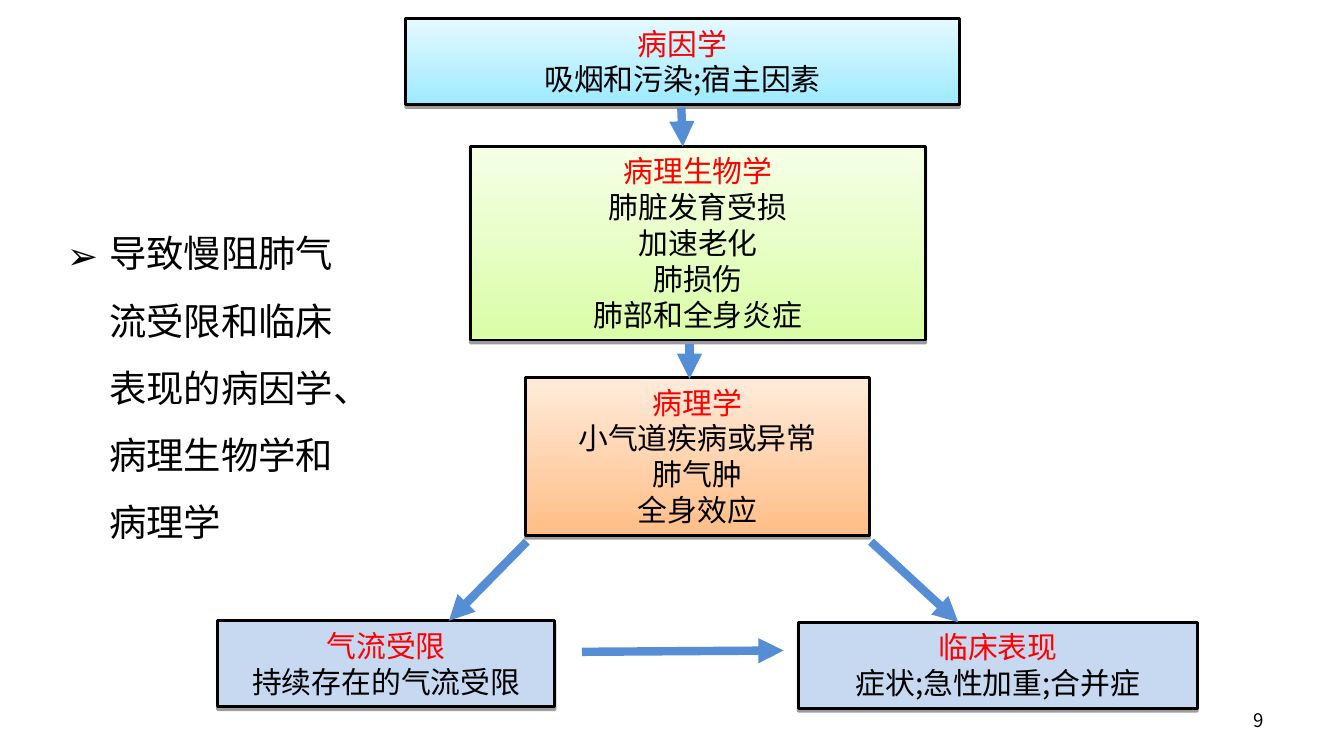
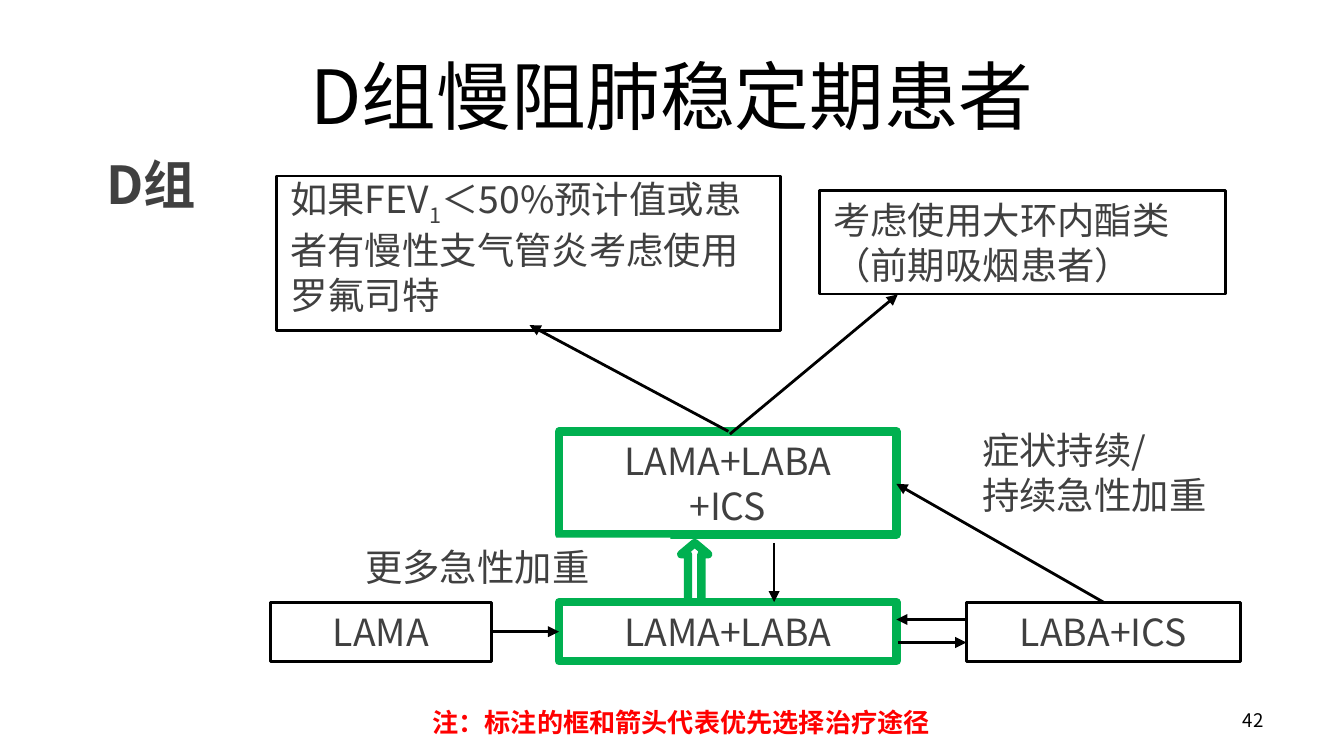
import pptx
import pptx.util
import pptx.dml.color
import pptx.enum.shapes
import pptx.enum.text
import pptx.oxml
import pptx.oxml.ns

Pt = pptx.util.Pt
SHAPE = pptx.enum.shapes.MSO_SHAPE
ALIGN = pptx.enum.text.PP_ALIGN
ANCHOR = pptx.enum.text.MSO_ANCHOR
NS = pptx.oxml.ns.nsdecls("a")

FONT = "Noto Sans CJK SC"
BLACK, WHITE, RED = "000000", "FFFFFF", "FF0000"
GRAY, GREEN, BLUE, PALE = "404040", "00B050", "558ED5", "C6D9F1"
LEAD = 1.2


def color(code):
    """Turn a hex string into a colour."""
    return pptx.dml.color.RGBColor.from_string(code)


def add_xml(node, body):
    """Append one drawing element to a node."""
    tag, _, rest = body.partition(" ")
    node.append(pptx.oxml.parse_xml(f"<a:{tag} {NS} {rest}"))


def style(run, size, tint, bold=False, font=FONT):
    """Format one run."""
    run.font.size = Pt(size)
    run.font.bold = bold
    run.font.color.rgb = color(tint)
    run.font.name = font
    add_xml(run._r.get_or_add_rPr(), f'ea typeface="{FONT}"/>')


def write(shape, text, size, tint=GRAY, align=ALIGN.LEFT, bold=False,
          font=FONT, lead=LEAD, anchor=ANCHOR.TOP, head=None):
    """Fill a shape with text, with an optional colour for its first line."""
    frame = shape.text_frame
    frame.word_wrap = True
    frame.vertical_anchor = anchor
    frame.text = text
    for row, para in enumerate(frame.paragraphs):
        para.alignment = align
        if lead:
            para.line_spacing = Pt(size * lead)
        for run in para.runs:
            style(run, size, head if head and row == 0 else tint, bold, font)
    return frame


def add_text(slide, box, text, size, **look):
    """Add a text box."""
    shape = slide.shapes.add_textbox(*map(Pt, box))
    return write(shape, text, size, **look)


def add_box(slide, box, fill=WHITE, line=None, width=1.5, kind=SHAPE.RECTANGLE):
    """Add a shape with a plain or a rising gradient fill."""
    shape = slide.shapes.add_shape(kind, *map(Pt, box))
    if isinstance(fill, tuple):
        shape.fill.gradient()
        shape.fill.gradient_angle = 90
        for spot, stop, code in zip((0, 1), shape.fill.gradient_stops, fill):
            stop.position = spot
            stop.color.rgb = color(code)
    else:
        shape.fill.solid()
        shape.fill.fore_color.rgb = color(fill)
    if line:
        shape.line.color.rgb = color(line)
        shape.line.width = Pt(width)
    else:
        shape.line.fill.background()
    shape.shadow.inherit = False
    return shape


def cast(shape):
    """Give a shape a hard shadow below it."""
    node = shape._element.spPr.find(pptx.oxml.ns.qn("a:effectLst"))
    add_xml(node, 'outerShdw blurRad="0" dist="20000" dir="5400000" rotWithShape="0">'
            '<a:srgbClr val="000000"><a:alpha val="38000"/></a:srgbClr></a:outerShdw>')


def link(slide, left, top, ends, tint=BLACK, width=1.5):
    """Draw arrows whose ends are relative to a corner."""
    for x1, y1, x2, y2 in ends:
        line = slide.shapes.add_connector(
            pptx.enum.shapes.MSO_CONNECTOR.STRAIGHT,
            Pt(left + x1), Pt(top + y1), Pt(left + x2), Pt(top + y2))
        line.line.color.rgb = color(tint)
        line.line.width = Pt(width)
        add_xml(line.line._get_or_add_ln(), 'tailEnd type="triangle"/>')
        add_xml(line._element.spPr, "effectLst />")


def number(slide, text):
    """Place the page number."""
    add_text(slide, (516.2, 375.1, 167.8, 21.6), text, 10, tint=BLACK,
             align=ALIGN.RIGHT, lead=None, anchor=ANCHOR.MIDDLE)


def flow(slide, left, top):
    """Draw the chain from cause to symptoms."""
    steps = [
        (101.4, 0, 296.6, ("9EEAFF", "E4F9FF"), FONT,
         ["病因学", "吸烟和污染;宿主因素"]),
        (136, 68.5, 244, ("DAFDA7", "F5FFE6"), "Calibri",
         ["病理生物学", "肺脏发育受损", "加速老化", "肺损伤", "肺部和全身炎症"]),
        (165.5, 192.3, 184.3, ("FFBE86", "FFEBDB"), "Calibri",
         ["病理学", "小气道疾病或异常", "肺气肿", "全身效应"]),
        (0.6, 322.6, 180.7, PALE, FONT, ["气流受限", "持续存在的气流受限"]),
        (311.7, 323.4, 213.8, PALE, FONT, ["临床表现", "症状;急性加重;合并症"]),
    ]
    for x, y, wide, fill, font, rows in steps:
        high = 7.7 + 16 * LEAD * len(rows)
        shape = add_box(slide, (left + x, top + y, wide, high), fill, BLACK)
        cast(shape)
        frame = write(shape, "\n".join(rows), 16, tint=BLACK,
                      align=ALIGN.CENTER, head=RED)
        frame.paragraphs[0].runs[0].font.name = font
    link(slide, left, top, [
        (253.4, 174.3, 253.4, 193),
        (166.2, 280.2, 124.5, 322.6),
        (350.6, 280.2, 397.4, 323.4),
        (195.8, 339.2, 303.8, 338.5),
        (249, 47.6, 249.8, 68.5),
    ], BLUE, 4.5)


def point(slide, box):
    """Write the bulleted summary."""
    frame = add_text(slide, box, "导致慢阻肺气流受限和临床表现的病因学、病理生物学和病理学",
                     20, tint=BLACK, lead=1.8)
    props = frame.paragraphs[0]._p.get_or_add_pPr()
    props.set("marL", str(Pt(22.5)))
    props.set("indent", str(Pt(-22.5)))
    add_xml(props, 'buFont typeface="Wingdings"/>'.replace("Wingdings", FONT))
    add_xml(props, 'buChar char="➢"/>')


def path(slide, left, top):
    """Draw the drug boxes and the moves between them."""
    high, tall = 31.7, 55.4
    drugs = [
        (0.7, 97.6, 118.8, high, BLACK, 1.5, "LAMA"),
        (155.5, 97.6, 180.7, high, GREEN, 4.5, "LAMA+LABA"),
        (373.7, 97.6, 146.9, high, BLACK, 1.5, "LABA+ICS"),
        (155.5, 6.1, 180.7, tall, GREEN, 4.5, "LAMA+LABA\n+ICS"),
    ]
    notes = [
        (44.6, 63, 170.6, high, "更多急性加重"),
        (375.1, 0.4, 170.6, tall, "症状持续/\n持续急性加重"),
    ]
    arrow = add_box(slide, (left + 221, top + 65.9, 14.4, 32.4), WHITE,
                    GREEN, 4.5, SHAPE.UP_ARROW)
    arrow.adjustments[0], arrow.adjustments[1] = 0.5, 0.42
    for x, y, wide, deep, line, width, text in drugs:
        shape = add_box(slide, (left + x, top + y, wide, deep), WHITE, line, width)
        write(shape, text, 20, align=ALIGN.CENTER)
    for x, y, wide, deep, text in notes:
        write(add_box(slide, (left + x, top + y, wide, deep)), text, 20)
    link(slide, left, top, [
        (118.8, 113.4, 155.5, 113.4),
        (337, 119.2, 373.7, 119.2),
        (373.7, 106.9, 336.2, 106.9),
        (270.7, 65.9, 270.7, 97.6),
        (447.1, 97.6, 336.2, 34.2),
    ])


def extras(slide, left, top):
    """Draw the two further options and the arrows to them."""
    shape = add_box(slide, (left + 0.3, top + 0.3, 270, 82.8), WHITE, BLACK)
    para = write(shape, "如果FEV", 20).paragraphs[0]
    for text, base in (("1", "-25000"),
                       ("＜50%预计值或患者有慢性支气管炎考虑使用罗氟司特", "0")):
        run = para.add_run()
        run.text = text
        style(run, 20, GRAY)
        run._r.get_or_add_rPr().set("baseline", base)
    shape = add_box(slide, (left + 291.2, top + 8.2, 217.4, 55.4), WHITE, BLACK)
    write(shape, "考虑使用大环内酯类（前期吸烟患者）", 20)
    link(slide, left, top, [
        (242.2, 137.1, 135.7, 80.2),
        (243, 138.6, 333, 63.7),
    ])


def labels(slide):
    """Write the title, the group name and the footnote."""
    add_text(slide, (36, 16.6, 648, 67.7), "D组慢阻肺稳定期患者", 40, tint=BLACK,
             align=ALIGN.CENTER, lead=None, anchor=ANCHOR.MIDDLE)
    add_text(slide, (224.6, 366.5, 302.4, 32.4), "注：标注的框和箭头代表优先选择治疗途径",
             14, tint=RED, bold=True, font="Times New Roman", lead=1.8)
    group = add_box(slide, (30.2, 77.8, 101.5, 41))
    write(group, "D组", 28, align=ALIGN.CENTER, bold=True)


def main():
    """Build both slides and save them."""
    deck = pptx.Presentation()
    deck.slide_width, deck.slide_height = Pt(720), Pt(405)
    blank = deck.slide_layouts[6]
    cause = deck.slides.add_slide(blank)
    flow(cause, 116, 10)
    point(cause, (28.8, 108, 169.2, 187.2))
    number(cause, "9")
    care = deck.slides.add_slide(blank)
    labels(care)
    path(care, 144, 225)
    extras(care, 148, 94)
    number(care, "42")
    deck.save("out.pptx")


if __name__ == "__main__":
    main()
